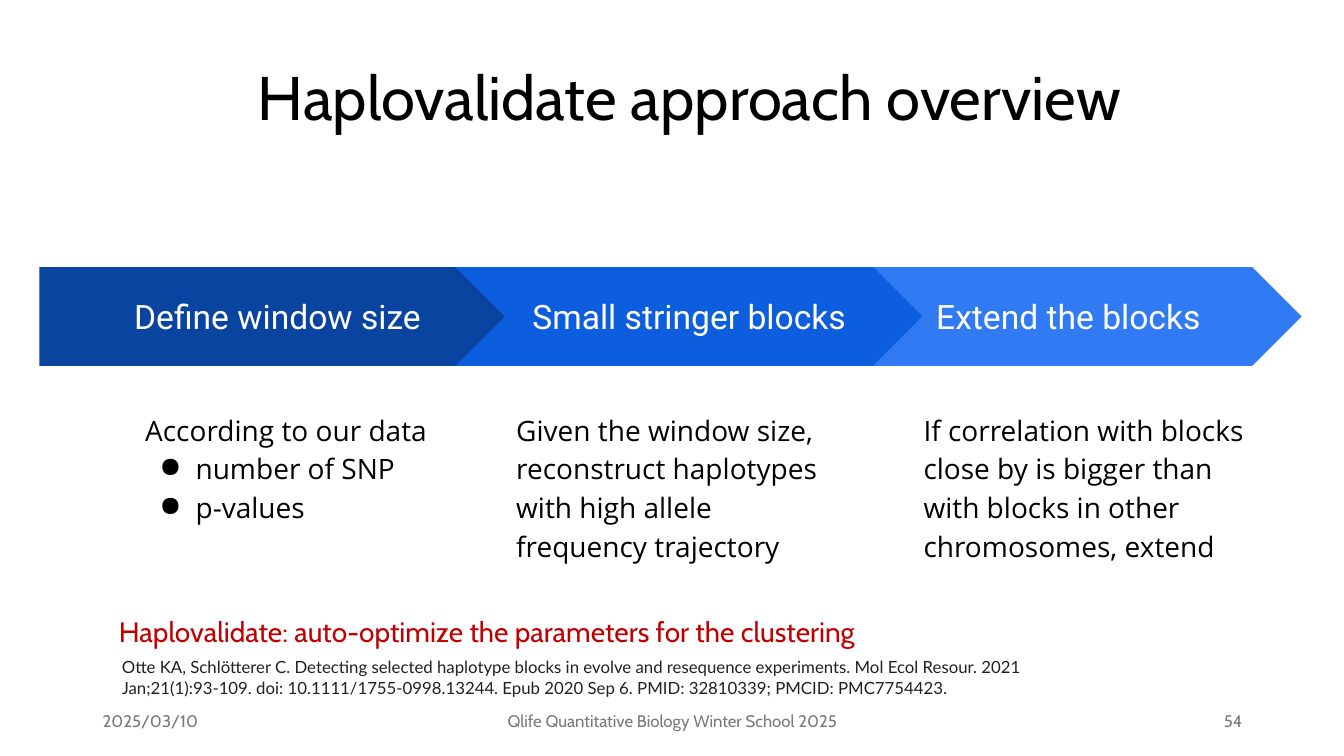
"""Build the Haplovalidate overview slide: three process steps with notes and a reference."""
from dataclasses import dataclass

import lxml.etree
import pptx
import pptx.dml.color
import pptx.enum.shapes
import pptx.enum.text
import pptx.oxml.ns
import pptx.util

ALIGN = pptx.enum.text.PP_ALIGN
ANCHOR = pptx.enum.text.MSO_ANCHOR
SHAPE = pptx.enum.shapes.MSO_SHAPE
WIDTH, HEIGHT = pptx.util.Inches(13.33), pptx.util.Inches(7.5)


@dataclass(frozen=True)
class Style:
    font: str
    size: int
    color: str


@dataclass(frozen=True)
class Theme:
    title: Style = Style("Cabin", 44, "000000")
    step: Style = Style("Roboto", 24, "FFFFFF")
    note: Style = Style("Open Sans", 20, "000000")
    message: Style = Style("Cabin", 20, "C00000")
    reference: Style = Style("Lato", 12, "212121")
    footer: Style = Style("Cabin", 12, "797979")
    step_fills: tuple = ("0944A1", "0D5DDF", "307BF3")


THEME = Theme()
STEP_ROW = (35.33, 13.07)
NOTE_ROW = (52.27, 27.33)
FOOTER_ROW = (92.67, 5.33)
STEP_INSET = 0.13

STEPS = [
    ("Define window size", (2.93, 37.28), (9.83, 23.48),
     ["According to our data", "● number of SNP", "● p-values"]),
    ("Small stringer blocks", (33.91, 34.73), (37.43, 25.58),
     ["Given the window size, reconstruct haplotypes with high allele frequency trajectory"]),
    ("Extend the blocks", (62.12, 34.73), (67.74, 26.41),
     ["If correlation with blocks close by is bigger than with blocks in other chromosomes, extend"]),
]
DRAW_ORDER = (2, 0, 1)

FOOTERS = [
    ("2025/03/10", (6.9, 22.5), ALIGN.LEFT),
    ("Qlife Quantitative Biology Winter School 2025", (33.16, 33.76), ALIGN.CENTER),
    ("54", (70.67, 22.5), ALIGN.RIGHT),
]
MESSAGE = "Haplovalidate: auto-optimize the parameters for the clustering"
REFERENCE = (
    "Otte KA, Schlötterer C. Detecting selected haplotype blocks in evolve and resequence "
    "experiments. Mol Ecol Resour. 2021 Jan;21(1):93-109. doi: 10.1111/1755-0998.13244. "
    "Epub 2020 Sep 6. PMID: 32810339; PMCID: PMC7754423."
)


def area(columns, rows):
    """Turn (start, extent) percentages of the slide into left, top, width, height."""
    (left, width), (top, height) = columns, rows
    return (int(WIDTH * left / 100), int(HEIGHT * top / 100),
            int(WIDTH * width / 100), int(HEIGHT * height / 100))


def add_bullet(paragraph, mark):
    """Give a paragraph a hanging bullet."""
    properties = paragraph._p.get_or_add_pPr()
    properties.set("marL", str(pptx.util.Inches(0.5)))
    properties.set("indent", str(pptx.util.Inches(-0.36)))
    bullet = lxml.etree.SubElement(properties, pptx.oxml.ns.qn("a:buChar"))
    bullet.set("char", mark)


def write(frame, lines, style, align=ALIGN.LEFT, anchor=ANCHOR.TOP, spacing=None, inset=None):
    """Fill a text frame with styled lines; a leading ● becomes a bullet."""
    frame.word_wrap = True
    frame.vertical_anchor = anchor
    if inset is not None:
        frame.margin_left = frame.margin_right = pptx.util.Inches(inset)
        frame.margin_top = frame.margin_bottom = pptx.util.Inches(inset)
    frame.text = "\n".join(line.removeprefix("● ") for line in lines)
    for line, paragraph in zip(lines, frame.paragraphs):
        paragraph.alignment = align
        if spacing:
            paragraph.line_spacing = spacing
        if line.startswith("●"):
            add_bullet(paragraph, "●")
        for run in paragraph.runs:
            run.font.name = style.font
            run.font.size = pptx.util.Pt(style.size)
            run.font.color.rgb = pptx.dml.color.RGBColor.from_string(style.color)


def add_title(slide, text):
    """Place and format the title placeholder."""
    title = slide.shapes.title
    title.left, title.top, title.width, title.height = area((8.18, 86.27), (3.6, 19.33))
    write(title.text_frame, [text], THEME.title, ALIGN.CENTER, ANCHOR.MIDDLE, spacing=0.9)


def add_text(slide, columns, rows, lines, style, **layout):
    """Add a wrapped text box."""
    box = slide.shapes.add_textbox(*area(columns, rows))
    write(box.text_frame, lines, style, **layout)


def add_step(slide, index):
    """Add one process arrow and the note below it."""
    label, arrow_columns, note_columns, note = STEPS[index]
    kind = SHAPE.CHEVRON if index else SHAPE.PENTAGON
    arrow = slide.shapes.add_shape(kind, *area(arrow_columns, STEP_ROW))
    arrow.shadow.inherit = False
    arrow.fill.solid()
    arrow.fill.fore_color.rgb = pptx.dml.color.RGBColor.from_string(THEME.step_fills[index])
    arrow.line.fill.background()
    write(arrow.text_frame, [label], THEME.step, ALIGN.CENTER, ANCHOR.MIDDLE, inset=STEP_INSET)
    add_text(slide, note_columns, NOTE_ROW, note, THEME.note, spacing=1.15, inset=STEP_INSET)


def main():
    """Build and save the slide."""
    deck = pptx.Presentation()
    deck.slide_width, deck.slide_height = WIDTH, HEIGHT
    slide = deck.slides.add_slide(deck.slide_layouts.get_by_name("Title Only"))
    add_title(slide, "Haplovalidate approach overview")
    for index in DRAW_ORDER:
        add_step(slide, index)
    add_text(slide, (8.1, 75.17), (80.67, 5.87), [MESSAGE], THEME.message)
    add_text(slide, (8.33, 73.44), (86.27, 6.67), [REFERENCE], THEME.reference)
    for text, columns, align in FOOTERS:
        add_text(slide, columns, FOOTER_ROW, [text], THEME.footer, align=align, anchor=ANCHOR.MIDDLE)
    deck.save("out.pptx")


if __name__ == "__main__":
    main()
